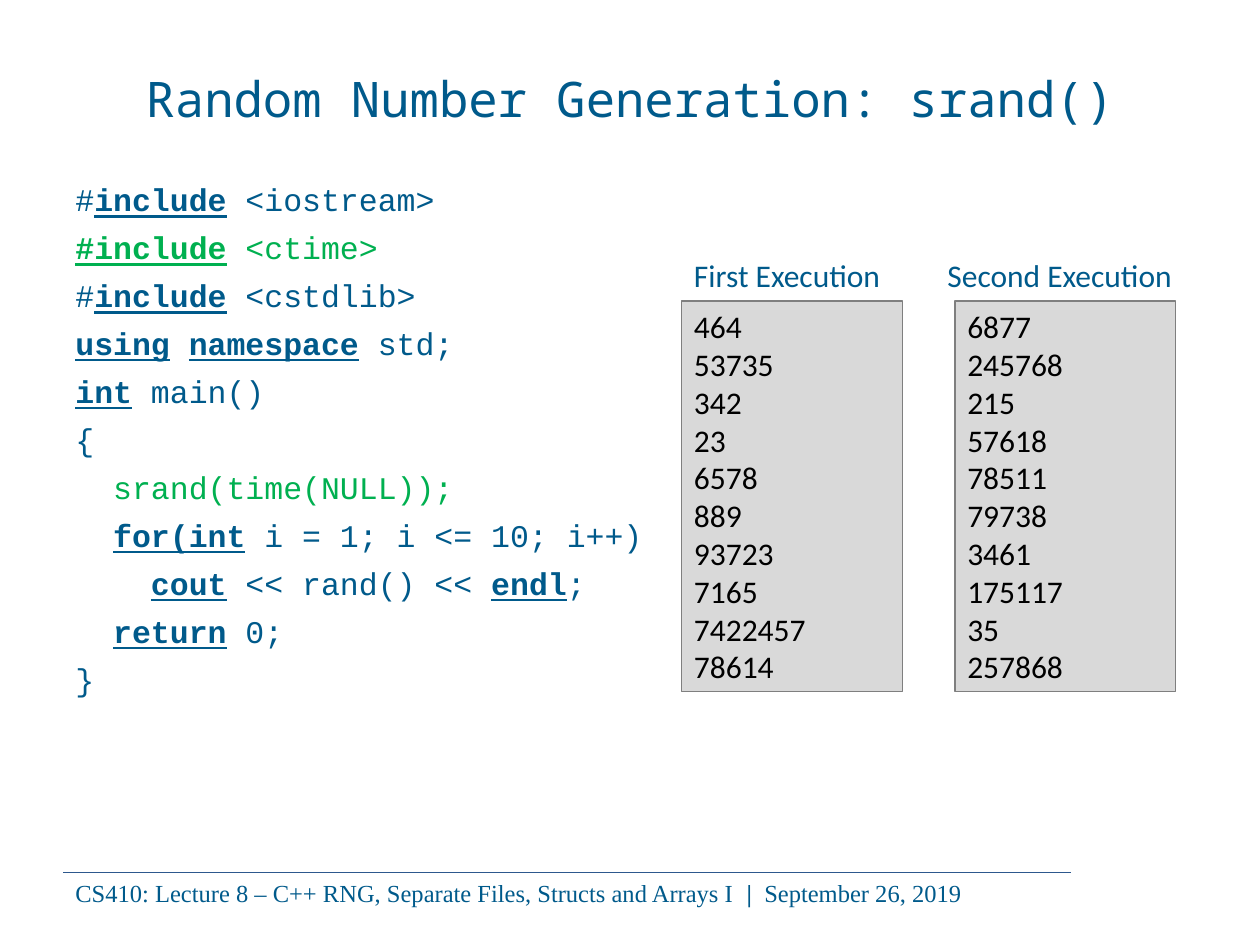
"""Build the lecture slide on seeding random numbers with srand()."""
from dataclasses import dataclass

from lxml.etree import SubElement
from pptx import Presentation
from pptx.dml.color import RGBColor
from pptx.enum.shapes import MSO_CONNECTOR, MSO_SHAPE
from pptx.enum.text import MSO_ANCHOR, MSO_AUTO_SIZE, PP_ALIGN
from pptx.oxml.ns import qn
from pptx.util import Cm, Pt

BLUE, GREEN, BLACK = "005A8B", "00B050", "000000"
MARK = "*"


@dataclass(frozen=True)
class Style:
    font: str
    size: float
    color: str = BLUE
    underline_marked: bool = False


@dataclass(frozen=True)
class CodeLine:
    text: str
    color: str = BLUE


@dataclass(frozen=True)
class Execution:
    heading: str
    heading_left: float
    heading_width: float
    panel_left: float
    numbers: tuple[int, ...]


CODE = (
    CodeLine("#*include* <iostream>"),
    CodeLine("*#include* <ctime>", GREEN),
    CodeLine("#*include* <cstdlib>"),
    CodeLine("*using* *namespace* std;"),
    CodeLine("*int* main()"),
    CodeLine("{"),
    CodeLine("  srand(time(NULL));", GREEN),
    CodeLine("  *for(int* i = 1; i <= 10; i++)"),
    CodeLine("    *cout* << rand() << *endl*;"),
    CodeLine("  *return* 0;"),
    CodeLine("}"),
)

EXECUTIONS = (
    Execution("First Execution", 13.74, 4.29, 13.74,
              (464, 53735, 342, 23, 6578, 889, 93723, 7165, 7422457, 78614)),
    Execution("Second Execution", 18.85, 5.05, 19.25,
              (6877, 245768, 215, 57618, 78511, 79738, 3461, 175117, 35, 257868)),
)


def rgb(color: str) -> RGBColor:
    """Turn a hex string into a colour."""
    return RGBColor.from_string(color)


def format_span(span, style: Style) -> None:
    """Give a run its font, size and colour."""
    span.font.name = style.font
    span.font.size = Pt(style.size)
    span.font.color.rgb = rgb(style.color)


def write_marked(para, text: str, style: Style) -> None:
    """Write text whose marked parts become bold."""
    for index, part in enumerate(text.split(MARK)):
        if not part:
            continue
        span = para.add_run()
        span.text = part
        format_span(span, style)
        if index % 2:
            span.font.bold = True
            span.font.underline = style.underline_marked


def write_plain(frame, text: str, style: Style, align=PP_ALIGN.LEFT) -> None:
    """Set the text of a frame in one style."""
    frame.text = text
    for para in frame.paragraphs:
        para.alignment = align
        for span in para.runs:
            format_span(span, style)


def add_box(page, left: float, top: float, width: float, height: float, wrap: bool = True):
    """Add a text box measured in centimetres."""
    box = page.shapes.add_textbox(Cm(left), Cm(top), Cm(width), Cm(height))
    box.text_frame.word_wrap = wrap
    return box


def add_title(page) -> None:
    """Place and fill the title placeholder."""
    title = page.shapes.title
    title.left, title.top, title.width, title.height = Cm(1.27), Cm(0.76), Cm(22.86), Cm(2.41)
    frame = title.text_frame
    write_plain(frame, "Random Number Generation: srand()",
                Style("Noto Sans Mono", 28), PP_ALIGN.CENTER)
    frame.vertical_anchor = MSO_ANCHOR.MIDDLE
    frame.auto_size = MSO_AUTO_SIZE.NONE


def add_code(page, lines: tuple[CodeLine, ...]) -> None:
    """Add the program listing, one paragraph a line."""
    frame = add_box(page, 1.27, 3.38, 21.79, 13.77).text_frame
    frame.margin_top = Cm(0.25)
    for index, line in enumerate(lines):
        para = frame.add_paragraph() if index else frame.paragraphs[0]
        if index:
            para.space_before = Pt(5.8)
        write_marked(para, line.text, Style("Courier New", 18, line.color, True))


def add_execution(page, execution: Execution) -> None:
    """Add the heading and grey output panel of one run."""
    panel = page.shapes.add_shape(MSO_SHAPE.RECTANGLE, Cm(execution.panel_left),
                                  Cm(6.07), Cm(4.45), Cm(7.87))
    panel.shadow.inherit = False
    panel.fill.solid()
    panel.fill.fore_color.rgb = rgb("D9D9D9")
    panel.line.color.rgb = rgb("7F7F7F")
    panel.line.width = Pt(0.75)
    panel.text_frame.vertical_anchor = MSO_ANCHOR.TOP
    panel.text_frame.word_wrap = True
    write_plain(panel.text_frame, "\v".join(map(str, execution.numbers)),
                Style("Calibri", 18, BLACK))
    heading = add_box(page, execution.heading_left, 5.03, execution.heading_width, 1.02, False)
    write_plain(heading.text_frame, execution.heading, Style("Calibri", 18))


def add_footer(page) -> None:
    """Add the rule and lecture line at the foot."""
    top = 17.58
    rule = page.shapes.add_connector(MSO_CONNECTOR.STRAIGHT, Cm(1.27), Cm(top),
                                     Cm(21.59), Cm(top))
    rule.line.color.rgb = rgb("2D588D")
    rule.line.width = Pt(0.5)
    SubElement(rule._element.spPr, qn("a:effectLst"))
    box = add_box(page, 1.27, top, 20.75, 0.86)
    write_marked(box.text_frame.paragraphs[0],
                 "CS410: Lecture 8 – C++ RNG, Separate Files, Structs and Arrays I  "
                 "*|  *September 26, 2019", Style("Times New Roman", 14))


def main() -> None:
    """Build and save the deck."""
    deck = Presentation()
    deck.slide_width, deck.slide_height = Cm(25.4), Cm(19.05)
    page = deck.slides.add_slide(deck.slide_layouts.get_by_name("Title Only"))
    add_footer(page)
    add_title(page)
    add_code(page, CODE)
    for execution in EXECUTIONS:
        add_execution(page, execution)
    deck.save("out.pptx")


if __name__ == "__main__":
    main()
